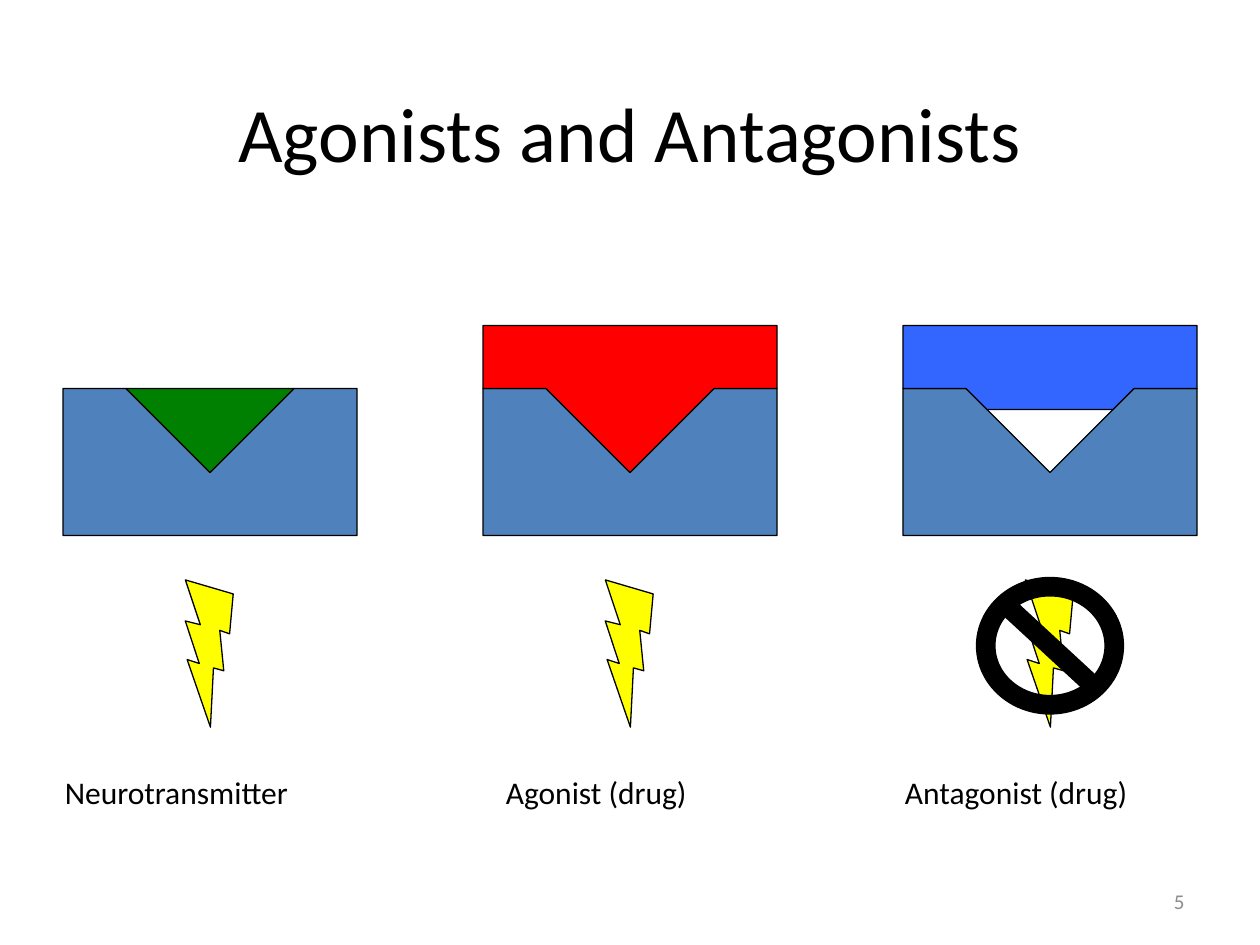
import pptx
import pptx.util
import pptx.dml.color
import pptx.enum.shapes
import pptx.enum.text

UNIT = pptx.util.Inches(1) // 6
MSO = pptx.enum.shapes.MSO_SHAPE
ALIGN = pptx.enum.text.PP_ALIGN
ANCHOR = pptx.enum.text.MSO_ANCHOR
COLORS = {
    "black": "000000", "receptor": "4F81BD", "transmitter": "008000",
    "agonist": "FF0000", "antagonist": "3366FF", "bolt": "FFFF00",
    "number": "8C8C8C",
}
RECEPTOR = [(0, 7), (0, 0), (3, 0), (7, 4), (11, 0), (14, 0), (14, 7)]
TRANSMITTER = [(3, 0), (7, 4), (11, 0)]
AGONIST = [(0, 0), (3, 0), (7, 4), (11, 0), (14, 0), (14, -3), (0, -3)]
ANTAGONIST = [(0, 0), (0, -3), (14, -3), (14, 0), (11, 0), (10, 1), (4, 1), (3, 0)]
PANELS = [
    ("Neurotransmitter", "transmitter", TRANSMITTER, False, -0.5),
    ("Agonist (drug)", "agonist", AGONIST, False, 0.5),
    ("Antagonist (drug)", "antagonist", ANTAGONIST, True, -0.5),
]


def grid(*values):
    """Convert grid units to whole EMU lengths."""
    return [pptx.util.Emu(round(v * UNIT)) for v in values]


def rgb(name):
    """Look up a named colour."""
    return pptx.dml.color.RGBColor.from_string(COLORS[name])


def paint(s, color):
    """Give a shape a flat fill and a thin black outline."""
    s.shadow.inherit = False
    s.fill.solid()
    s.fill.fore_color.rgb = rgb(color)
    s.line.color.rgb = rgb("black")
    s.line.width = pptx.util.Pt(0.75)


def add_outline(shapes, x, y, points, color):
    """Draw a closed polygon from grid points relative to x, y."""
    builder = shapes.build_freeform(*points[0], scale=UNIT)
    builder.add_line_segments(points[1:], close=True)
    paint(builder.convert_to_shape(*grid(x, y)), color)


def write(s, text, size, color="black", align=ALIGN.LEFT, anchor=ANCHOR.TOP):
    """Put one formatted paragraph into a shape."""
    tf = s.text_frame
    tf.word_wrap = True
    tf.vertical_anchor = anchor
    p = tf.paragraphs[0]
    p.text = text
    p.alignment = align
    p.font.name = "Calibri"
    p.font.size = pptx.util.Pt(size)
    p.font.color.rgb = rgb(color)


def add_signal(shapes, x, y, blocked):
    """Draw the signal bolt, crossed out when it is blocked."""
    bolt = shapes.add_shape(MSO.LIGHTNING_BOLT, *grid(x + 4, y, 5.5, 5.5))
    bolt.rotation = 41
    paint(bolt, "bolt")
    if blocked:
        sign = shapes.add_shape(MSO.NO_SYMBOL, *grid(x + 3.5, y - 0.5, 7, 6.5))
        sign.adjustments[0] = 0.135
        paint(sign, "black")


def add_panel(shapes, x, y, label, color, ligand, blocked, indent):
    """Draw one receptor with its ligand, signal and label."""
    add_outline(shapes, x, y, RECEPTOR, "receptor")
    add_outline(shapes, x, y, ligand, color)
    add_signal(shapes, x, y + 9.5, blocked)
    write(shapes.add_textbox(*grid(x + indent, y + 18, 15, 3)), label, 18)


def add_title(s, text):
    """Place the slide title."""
    s.left, s.top, s.width, s.height = grid(4.5, 2.5, 51, 7.5)
    write(s, text, 44, align=ALIGN.CENTER, anchor=ANCHOR.MIDDLE)


def main():
    """Build and save the slide."""
    prs = pptx.Presentation()
    prs.slide_width, prs.slide_height = grid(60, 45)
    shapes = prs.slides.add_slide(prs.slide_layouts[5]).shapes
    add_title(shapes.title, "Agonists and Antagonists")
    for i, panel in enumerate(PANELS):
        add_panel(shapes, 3 + 20 * i, 18.5, *panel)
    write(shapes.add_textbox(*grid(43, 41.7, 14, 2.4)), "5", 12,
          "number", ALIGN.RIGHT, ANCHOR.MIDDLE)
    prs.save("out.pptx")


if __name__ == "__main__":
    main()
